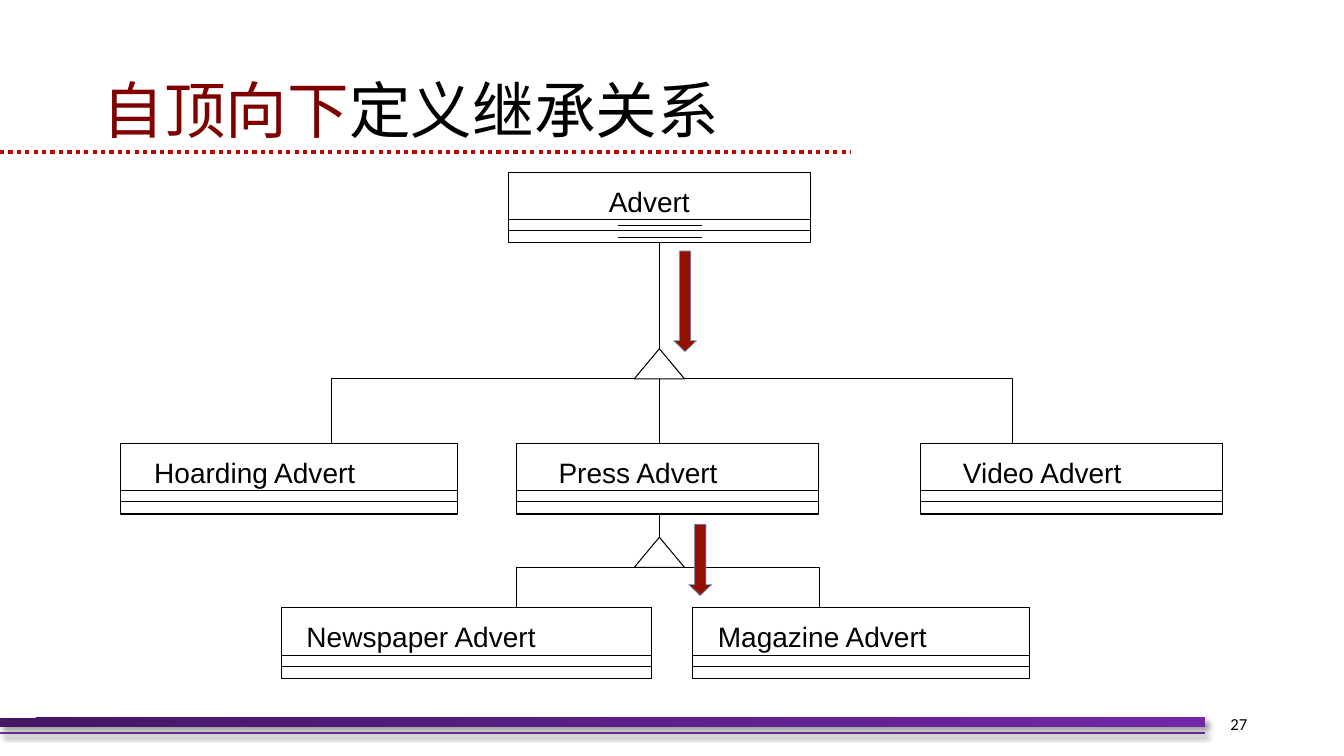
from dataclasses import dataclass

from lxml import etree
from pptx import Presentation
from pptx.dml.color import RGBColor
from pptx.enum.dml import MSO_LINE
from pptx.enum.shapes import MSO_CONNECTOR, MSO_SHAPE
from pptx.enum.text import MSO_ANCHOR, PP_ALIGN
from pptx.oxml import parse_xml
from pptx.oxml.ns import nsdecls, qn
from pptx.util import Inches, Pt

RECT, TRIANGLE, ARROW = MSO_SHAPE.RECTANGLE, MSO_SHAPE.ISOSCELES_TRIANGLE, MSO_SHAPE.DOWN_ARROW
STRAIGHT, DOTS = MSO_CONNECTOR.STRAIGHT, MSO_LINE.ROUND_DOT
LEFT, CENTER, RIGHT = PP_ALIGN.LEFT, PP_ALIGN.CENTER, PP_ALIGN.RIGHT
TOP, MIDDLE = MSO_ANCHOR.TOP, MSO_ANCHOR.MIDDLE


@dataclass(frozen=True)
class Theme:
    ink: RGBColor = RGBColor(0, 0, 0)
    accent: RGBColor = RGBColor(0x80, 0, 0)
    rule: RGBColor = RGBColor(0xC0, 0, 0)
    arrow: RGBColor = RGBColor(0x94, 0x11, 0)
    edge: RGBColor = RGBColor(0x6C, 0xAC, 0xDD)
    purple: RGBColor = RGBColor(0x70, 0x30, 0xA0)
    dark: RGBColor = RGBColor(0x43, 0x17, 0x64)
    light: RGBColor = RGBColor(0x71, 0x28, 0xA8)
    title: int = 44
    label: int = 20
    small: int = 12


theme = Theme()
SHADOW = (
    f'<a:effectLst {nsdecls("a")}><a:outerShdw blurRad="50800" dist="38100" dir="2700000" '
    'algn="tl" rotWithShape="0"><a:srgbClr val="000000"><a:alpha val="40000"/></a:srgbClr>'
    '</a:outerShdw></a:effectLst>'
)

prs = Presentation()
prs.slide_width, prs.slide_height = Inches(13.33), Inches(7.5)
slide = prs.slides.add_slide(prs.slide_layouts[6])
shapes = slide.shapes


def add_line(x1, y1, x2, y2, color=theme.ink, width=0.75):
    line = shapes.add_connector(STRAIGHT, Inches(x1), Inches(y1), Inches(x2), Inches(y2))
    line.line.color.rgb, line.line.width = color, Pt(width)
    etree.SubElement(line._element.spPr, qn("a:effectLst"))
    return line


def add_shape(kind, x, y, w, h, edge=theme.ink, width=0.75):
    """Add an unfilled preset shape without a shadow."""
    shape = shapes.add_shape(kind, Inches(x), Inches(y), Inches(w), Inches(h))
    shape.shadow.inherit = False
    shape.fill.background()
    shape.line.color.rgb, shape.line.width = edge, Pt(width)
    return shape


# Footer bar and title rule
thin = add_line(0, 7.27, 11.95, 7.27, theme.purple, 1.5)
bar = add_shape(RECT, 0, 7.12, 11.95, 0.09)
bar.line.fill.background()
bar.fill.gradient()
bar.fill.gradient_angle = 315
for stop, color in zip(bar.fill.gradient_stops, (theme.dark, theme.light)):
    stop.color.rgb = color
for item in (thin, bar):
    props = item._element.spPr
    props.replace(props.find(qn("a:effectLst")), parse_xml(SHADOW))
add_line(0, 1.51, 8.44, 1.51, theme.rule, 3).line.dash_style = DOTS

# Title
box = shapes.add_textbox(Inches(0.92), Inches(0.4), Inches(11.5), Inches(1.45))
frame = box.text_frame
frame.word_wrap, frame.vertical_anchor = True, MIDDLE
para = frame.paragraphs[0]
para.line_spacing = 0.9
para.font.size, para.font.name = Pt(theme.title), "Noto Sans CJK SC"
for text, color in (("自顶向下", theme.accent), ("定义继承关系", theme.ink)):
    run = para.add_run()
    run.text = text
    run.font.color.rgb = color
    etree.SubElement(run._r.get_or_add_rPr(), qn("a:ea"), typeface="Noto Sans CJK SC")

# Page number
box = shapes.add_textbox(Inches(11.38), Inches(6.98), Inches(1.09), Inches(0.4))
frame = box.text_frame
frame.word_wrap, frame.vertical_anchor = True, MIDDLE
para = frame.paragraphs[0]
para.text, para.alignment = "27", RIGHT
para.font.size, para.font.name = Pt(theme.small), "Calibri"
para.font.color.rgb = theme.ink

# Classes: name, left, top, width, left inset, right inset, alignment
classes = (
    ("Advert", 5.04, 1.71, 3, 0, 0.2, CENTER),
    ("Hoarding Advert", 1.2, 4.4, 3.34, 0.33, 0, LEFT),
    ("Press Advert", 5.12, 4.4, 3, 0.42, 0, LEFT),
    ("Video Advert", 9.13, 4.4, 3, 0.42, 0, LEFT),
    ("Newspaper Advert", 2.79, 6.03, 3.67, 0.25, 0, LEFT),
    ("Magazine Advert", 6.87, 6.03, 3.34, 0.25, 0, LEFT),
)
for name, x, y, w, left, right, align in classes:
    add_shape(RECT, x, y, w, 0.7)
    head = add_shape(RECT, x, y, w, 0.47)
    frame = head.text_frame
    frame.word_wrap, frame.vertical_anchor = True, TOP
    frame.margin_left, frame.margin_right = Inches(left), Inches(right)
    frame.margin_top, frame.margin_bottom = Inches(0.12), Inches(0)
    para = frame.paragraphs[0]
    para.text, para.alignment = name, align
    para.font.size, para.font.name = Pt(theme.label), "Arial"
    para.font.color.rgb = theme.ink
    add_line(x, y + 0.58, x + w, y + 0.58)
for y in (2.24, 2.36):
    add_line(6.13, y, 6.96, y)

# Inheritance: parent bottom, triangle top, base, child top, outer children
mid, half = 6.54, 0.25
links = (
    (2.41, 3.46, 3.76, 4.4, (3.29, 10.04)),
    (5.1, 5.33, 5.63, 6.03, (5.12, 8.13)),
)
for start, tip, base, end, ends in links:
    add_line(mid, start, mid, tip)
    add_shape(TRIANGLE, mid - half, tip, 2 * half, base - tip)
    for x, side in zip(ends, (-half, half)):
        path = shapes.build_freeform(Inches(mid + side), Inches(base))
        path.add_line_segments([(Inches(x), Inches(base)), (Inches(x), Inches(end))], close=False)
        elbow = path.convert_to_shape()
        elbow.shadow.inherit = False
        elbow.fill.background()
        elbow.line.color.rgb, elbow.line.width = theme.ink, Pt(0.75)
add_line(mid, 3.76, mid, 4.4)

# Top-down arrows
for x, y, h in ((6.68, 2.49, 1), (6.83, 5.2, 0.71)):
    arrow = add_shape(ARROW, x, y, 0.23, h, theme.edge, 0.5)
    arrow.fill.solid()
    arrow.fill.fore_color.rgb = theme.arrow
    arrow.adjustments[0], arrow.adjustments[1] = 0.5, 0.48

prs.save("out.pptx")
